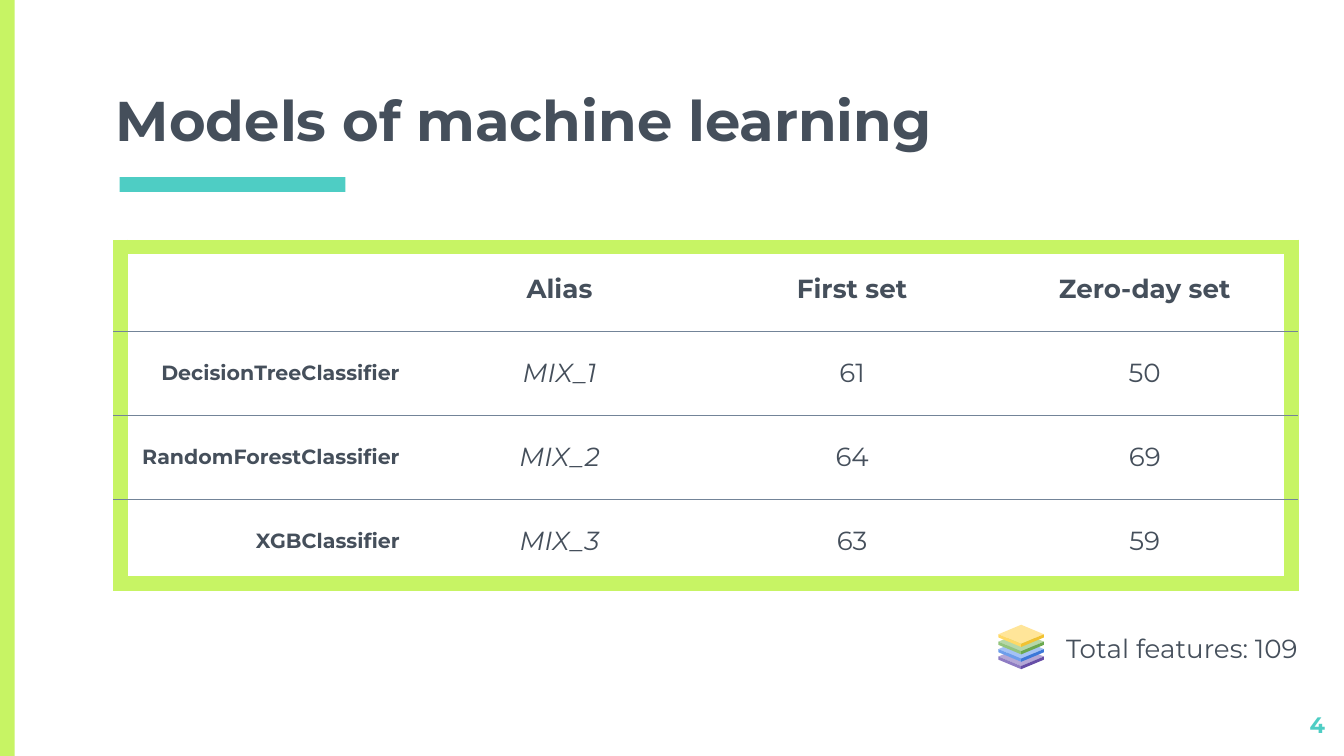
from lxml.etree import SubElement
from pptx import Presentation
from pptx.dml.color import RGBColor
from pptx.enum.shapes import MSO_SHAPE as SHAPE
from pptx.enum.text import MSO_ANCHOR as ANCHOR, PP_ALIGN as ALIGN
from pptx.oxml.ns import qn
from pptx.util import Cm, Pt

FONT = "Montserrat"
DARK, LIME, TEAL, RULE = "454F5B", "C7F464", "4ECDC4", "738498"
ROWS = [
    ["", "Alias", "First set", "Zero-day set"],
    ["DecisionTreeClassifier", "MIX_1", "61", "50"],
    ["RandomForestClassifier", "MIX_2", "64", "69"],
    ["XGBClassifier", "MIX_3", "63", "59"],
]
# Top, left and right face of each layer, from the bottom layer up
LAYERS = [
    ("B4A7D6", "8E7CC3", "674EA7"),
    ("A4C2F4", "6D9EEB", "3C78D8"),
    ("B6D7A8", "93C47D", "6AA84F"),
    ("FFE599", "FFD966", "F1C232"),
]


def rgb(color):
    return RGBColor.from_string(color)


def paint(sp, color):
    sp.fill.solid()
    sp.fill.fore_color.rgb = rgb(color)
    sp.line.fill.background()
    sp.shadow.inherit = False


def add_bar(s, x, y, w, h, color):
    paint(s.shapes.add_shape(SHAPE.RECTANGLE, Cm(x), Cm(y), Cm(w), Cm(h)), color)


def write(tf, text, size, color=DARK, bold=False, italic=False, align=ALIGN.LEFT):
    tf.text = text
    p = tf.paragraphs[0]
    p.alignment = align
    for r in p.runs:
        r.font.name, r.font.size = FONT, Pt(size)
        r.font.bold, r.font.italic = bold, italic
        r.font.color.rgb = rgb(color)


def place_text(sp, x, y, w, h, text, size, anchor=ANCHOR.BOTTOM, **style):
    sp.left, sp.top, sp.width, sp.height = Cm(x), Cm(y), Cm(w), Cm(h)
    tf = sp.text_frame
    tf.word_wrap = True
    tf.vertical_anchor = anchor
    tf.margin_left = tf.margin_right = tf.margin_top = tf.margin_bottom = Cm(0.25)
    write(tf, text, size, **style)


def add_text(s, *args, **style):
    place_text(s.shapes.add_textbox(0, 0, 0, 0), *args, **style)


def set_borders(cell, borders):
    """Set the left, right, top and bottom border as (color, points) or None."""
    tcPr = cell._tc.get_or_add_tcPr()
    for i, (side, border) in enumerate(zip("LRTB", borders)):
        ln = SubElement(tcPr, qn(f"a:ln{side}"))
        tcPr.insert(i, ln)
        if border:
            color, width = border
            ln.set("w", str(Pt(width)))
            fill = SubElement(ln, qn("a:solidFill"))
            SubElement(fill, qn("a:srgbClr")).set("val", color)
        else:
            SubElement(ln, qn("a:noFill"))


def add_models_table(s, x, y, col_w, row_h):
    n_rows, n_cols = len(ROWS), len(ROWS[0])
    frame = s.shapes.add_table(n_rows, n_cols, Cm(x), Cm(y),
                               Cm(col_w * n_cols), Cm(row_h * n_rows))
    table = frame.table
    table.first_row = table.horz_banding = False
    for col in table.columns:
        col.width = Cm(col_w)
    edge, rule = (LIME, 9), (RULE, 0.75)
    for i, row in enumerate(ROWS):
        table.rows[i].height = Cm(row_h)
        for j, text in enumerate(row):
            cell = table.cell(i, j)
            cell.fill.background()
            cell.vertical_anchor = ANCHOR.MIDDLE
            cell.margin_left = cell.margin_right = Cm(0.25)
            cell.margin_top = cell.margin_bottom = Cm(0.18)
            write(cell.text_frame, text, 14 if j else 11,
                  bold=i == 0 or j == 0, italic=i > 0 and j == 1,
                  align=ALIGN.CENTER if j else ALIGN.RIGHT)
            set_borders(cell, [
                edge if j == 0 else None,
                edge if j == n_cols - 1 else None,
                edge if i == 0 else rule,
                edge if i == n_rows - 1 else rule,
            ])


def add_polygon(group, points, color):
    start, *rest = [(Cm(x), Cm(y)) for x, y in points]
    builder = group.shapes.build_freeform(*start)
    builder.add_line_segments(rest)
    paint(builder.convert_to_shape(), color)


def add_layers_icon(s, cx, top, half_w=0.43, half_h=0.18, depth=0.06, step=0.14):
    group = s.shapes.add_group_shape()
    for i, (top_color, left_color, right_color) in enumerate(LAYERS):
        y = top + step * (len(LAYERS) - 1 - i)
        middle, bottom = y + half_h, y + 2 * half_h
        add_polygon(group, [(cx, y), (cx - half_w, middle), (cx, bottom),
                            (cx + half_w, middle)], top_color)
        for side, color in ((-half_w, left_color), (half_w, right_color)):
            add_polygon(group, [(cx + side, middle), (cx + side, middle + depth),
                                (cx, bottom + depth), (cx, bottom)], color)


def main():
    prs = Presentation()
    prs.slide_width, prs.slide_height = Cm(25.4), Cm(14.29)
    s = prs.slides.add_slide(prs.slide_layouts[5])
    add_bar(s, 0, 0, 0.28, 14.29, LIME)
    add_bar(s, 2.26, 3.35, 4.27, 0.28, TEAL)
    place_text(s.shapes.title, 1.94, 1.75, 21.56, 1.38,
               "Models of machine learning", 30, bold=True)
    add_models_table(s, 2.28, 4.67, 5.53, 1.59)
    add_text(s, 23.77, 13.2, 1.52, 0.86, "4", 12, anchor=ANCHOR.TOP,
             color=TEAL, bold=True, align=ALIGN.RIGHT)
    add_text(s, 19.9, 11.43, 5, 1.37, "Total features: 109", 14)
    add_layers_icon(s, 19.3, 11.81)
    prs.save("out.pptx")


if __name__ == "__main__":
    main()
